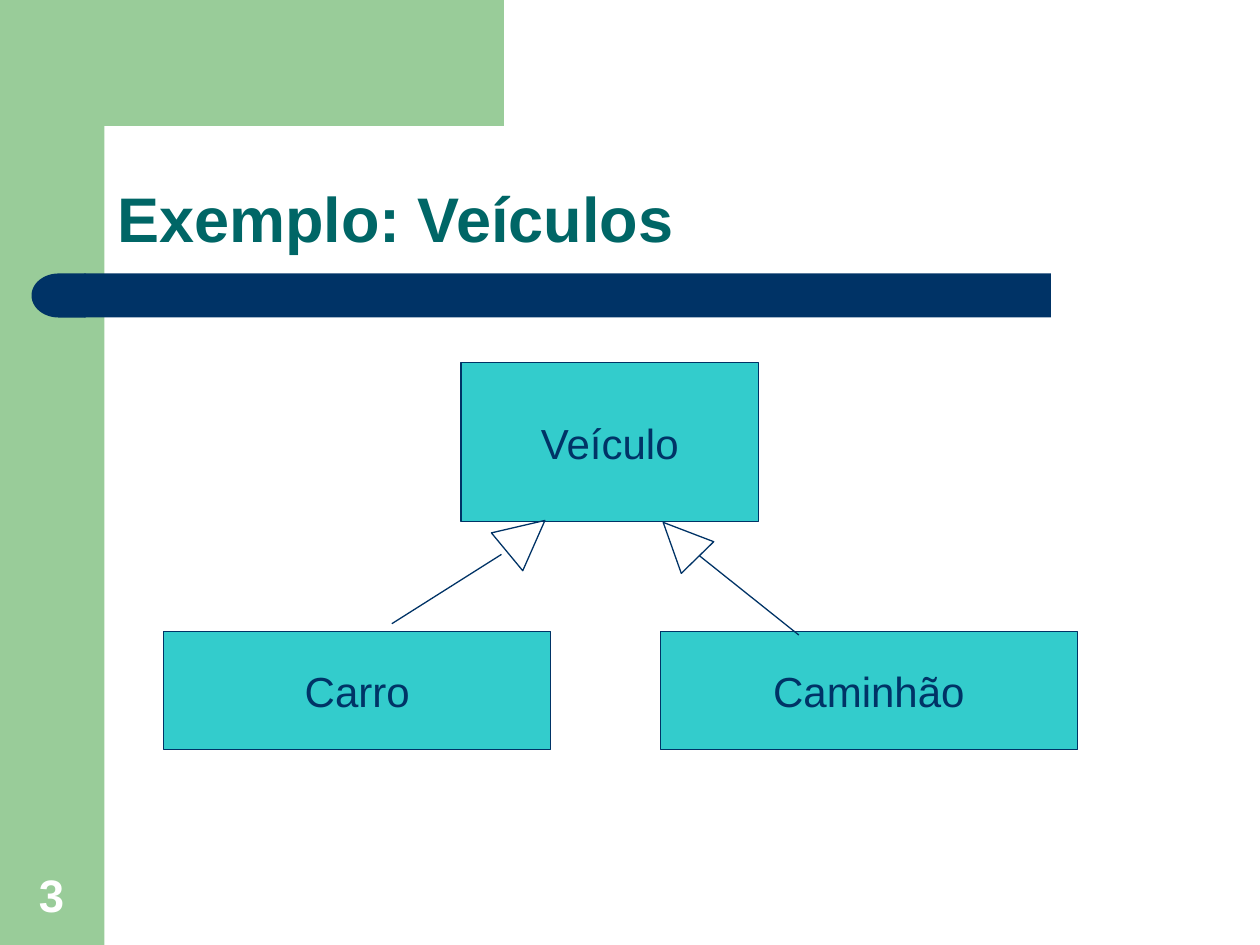
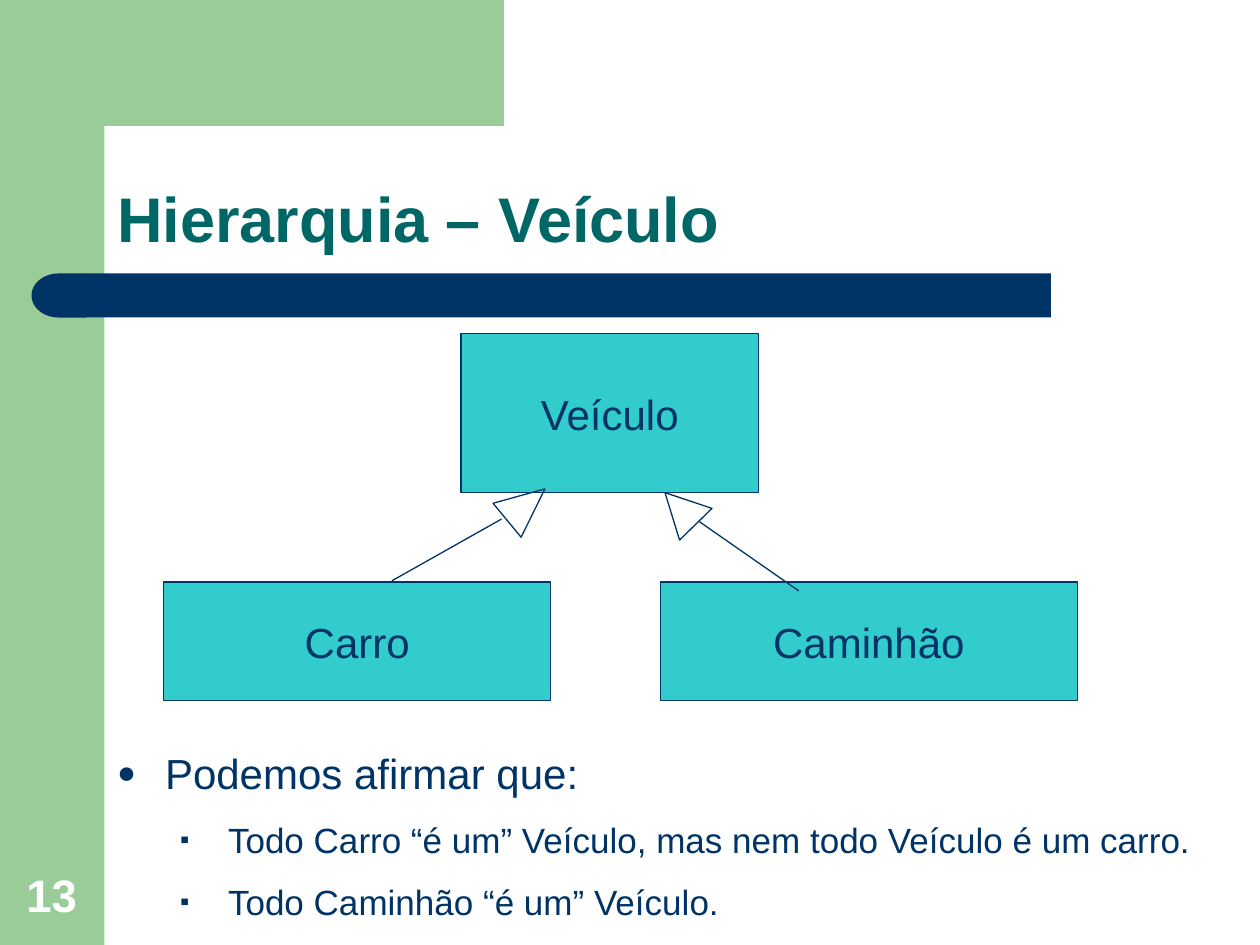
import math
from dataclasses import dataclass
from lxml import etree
from pptx import Presentation
from pptx.dml.color import RGBColor
from pptx.enum.shapes import MSO_CONNECTOR, MSO_SHAPE
from pptx.enum.text import MSO_ANCHOR, MSO_AUTO_SIZE, PP_ALIGN
from pptx.oxml.ns import qn
from pptx.util import Inches, Pt

RECT, DELAY = MSO_SHAPE.RECTANGLE, MSO_SHAPE.FLOWCHART_DELAY
TRIANGLE, STRAIGHT = MSO_SHAPE.ISOSCELES_TRIANGLE, MSO_CONNECTOR.STRAIGHT
LEFT, CENTER = PP_ALIGN.LEFT, PP_ALIGN.CENTER
TOP, MIDDLE, BOTTOM = MSO_ANCHOR.TOP, MSO_ANCHOR.MIDDLE, MSO_ANCHOR.BOTTOM
NO_FIT = MSO_AUTO_SIZE.NONE


@dataclass(frozen=True)
class Theme:
    """Colours, font and type sizes of the deck."""
    font: str = "Arial"
    green: str = "99CC99"
    navy: str = "003366"
    teal: str = "006666"
    aqua: str = "33CCCC"
    white: str = "FFFFFF"
    title: int = 36
    page: int = 26
    label: int = 24
    levels: tuple = (24, 20)
    line: float = 0.75


THEME = Theme()

# Class boxes: name, left, width, height
PARENT = ("Veículo", 3.66, 2.36, 1.26)
CHILDREN = [("Carro", 1.3, 3.07, 0.94), ("Caminhão", 5.24, 3.31, 0.94)]

# Arrows: line start, line end, head frame, head angle
SLIDES = [
    {"title": "Exemplo: Veículos", "page": "3", "tops": (2.88, 5.01),
     "arrows": [((3.11, 4.95), (3.98, 4.4), (3.98, 4.06, 0.39, 0.39), 50.4),
                ((6.34, 5.04), (5.55, 4.41), (5.22, 4.09, 0.36, 0.39), 315.7)],
     "list": []},
    {"title": "Hierarquia – Veículo", "page": "13", "tops": (2.65, 4.62),
     "arrows": [((3.11, 4.61), (3.98, 4.12), (4, 3.81, 0.35, 0.39), 50.4),
                ((6.34, 4.69), (5.55, 4.14), (5.22, 3.86, 0.36, 0.35), 315.7)],
     "list": [(0, "Podemos afirmar que:"),
              (1, "Todo Carro “é um” Veículo, mas nem todo Veículo é um carro."),
              (1, "Todo Caminhão “é um” Veículo.")]},
]

TITLE_AT = (0.83, 0.83, 8.67, 1.25)
PAGE_AT = (0.09, 6.83, 0.64, 0.53)
LIST_AT = (0.83, 5.8, 8.98, 1.7)
BULLETS = [("●", 0.38, 8), ("▪", 0.88, 7)]  # sign, indent, space before


def rgb(code):
    """Turn a hex code into a colour."""
    return RGBColor.from_string(code)


def style(para, size, color, bold=False, align=LEFT):
    """Align a paragraph and format its runs."""
    para.alignment = align
    for run in para.runs:
        font = run.font
        font.name, font.size, font.bold = THEME.font, Pt(size), bold
        font.color.rgb = rgb(color)


def place(shape, box):
    """Move a shape to a box given in inches."""
    shape.left, shape.top, shape.width, shape.height = map(Inches, box)


def paint(shape, fill=None, line=None):
    """Set fill and outline, and drop the shadow."""
    shape.shadow.inherit = False
    if fill:
        shape.fill.solid()
        shape.fill.fore_color.rgb = rgb(fill)
    else:
        shape.fill.background()
    if line:
        shape.line.color.rgb = rgb(line)
        shape.line.width = Pt(THEME.line)
    else:
        shape.line.fill.background()


def add(slide, kind, box, fill=None, line=None):
    """Add a painted preset shape."""
    shape = slide.shapes.add_shape(kind, *map(Inches, box))
    paint(shape, fill, line)
    return shape


def add_corner(slide):
    """Draw the top band with its rounded inner corner."""
    edge, mid, rad = 0.83, 1.16, 0.33
    turns = [math.radians(9 * step) for step in range(11)]
    curve = [(mid - rad * math.sin(a), mid - rad * math.cos(a)) for a in turns]
    points = [(3.5, 0), (3.5, edge), *curve, (edge, 1.28), (0.5, 1.28), (0.5, 0)]
    pen = slide.shapes.build_freeform(*points[0], scale=Inches(1))
    pen.add_line_segments(points[1:], close=True)
    shape = pen.convert_to_shape()
    paint(shape, THEME.green)
    return shape


def add_frame(slide, master):
    """Draw the shared bands and hand them to the master."""
    side = add(slide, RECT, (0, 0, 0.83, 7.5), THEME.green)
    corner = add_corner(slide)
    bar = add(slide, RECT, (0.67, 2.17, 7.67, 0.35), THEME.navy)
    cap = add(slide, DELAY, (0.25, 2.17, 0.43, 0.35), THEME.navy)
    cap.rotation = 180
    for shape in (side, corner, bar, cap):
        master.shapes.element.append(shape.element)


def add_title(slide, text):
    """Fill the title placeholder."""
    title = slide.shapes.title
    place(title, TITLE_AT)
    frame = title.text_frame
    frame.text = text
    frame.auto_size, frame.vertical_anchor = NO_FIT, BOTTOM
    frame.paragraphs[0].line_spacing = 0.9
    style(frame.paragraphs[0], THEME.title, THEME.teal, True)


def add_page(slide, text):
    """Write the page number on the side band."""
    frame = slide.shapes.add_textbox(*map(Inches, PAGE_AT)).text_frame
    frame.word_wrap, frame.vertical_anchor = True, BOTTOM
    frame.text = text
    style(frame.paragraphs[0], THEME.page, THEME.white, True, CENTER)


def add_class(slide, item, top):
    """Draw one class box with its name."""
    name, left, width, height = item
    box = add(slide, RECT, (left, top, width, height), THEME.aqua, THEME.navy)
    frame = box.text_frame
    frame.text = name
    frame.word_wrap, frame.vertical_anchor = False, MIDDLE
    style(frame.paragraphs[0], THEME.label, THEME.navy, align=CENTER)


def add_arrow(slide, start, end, head, angle):
    """Draw an inheritance arrow with a hollow head."""
    line = slide.shapes.add_connector(STRAIGHT, *map(Inches, start + end))
    line.line.color.rgb = rgb(THEME.navy)
    line.line.width = Pt(THEME.line)
    etree.SubElement(line.element.spPr, qn("a:effectLst"))
    add(slide, TRIANGLE, head, line=THEME.navy).rotation = angle


def set_bullet(para, sign, indent):
    """Give a paragraph its bullet and hanging indent."""
    props = para._p.get_or_add_pPr()
    props.set("marL", str(Inches(indent)))
    props.set("indent", str(-Inches(0.38)))
    color = etree.SubElement(props, qn("a:buClr"))
    etree.SubElement(color, qn("a:srgbClr"), val=THEME.navy)
    etree.SubElement(props, qn("a:buSzPct"), val="75000")
    etree.SubElement(props, qn("a:buFont"), typeface=THEME.font)
    etree.SubElement(props, qn("a:buChar"), char=sign)


def add_list(slide, items):
    """Fill the body placeholder with a bulleted list."""
    body = slide.placeholders[1]
    place(body, LIST_AT)
    frame = body.text_frame
    frame.text = "\n".join(text for _, text in items)
    frame.auto_size, frame.vertical_anchor = NO_FIT, TOP
    for para, (level, _) in zip(frame.paragraphs, items):
        sign, indent, gap = BULLETS[level]
        para.level = level
        para.line_spacing, para.space_before = 1.2, Pt(gap)
        style(para, THEME.levels[level], THEME.navy)
        set_bullet(para, sign, indent)


def add_slide(deck, data):
    """Build one slide from its data."""
    layout = deck.slide_layouts[1 if data["list"] else 5]
    slide = deck.slides.add_slide(layout)
    add_title(slide, data["title"])
    add_page(slide, data["page"])
    high, low = data["tops"]
    add_class(slide, PARENT, high)
    for child in CHILDREN:
        add_class(slide, child, low)
    for arrow in data["arrows"]:
        add_arrow(slide, *arrow)
    if data["list"]:
        add_list(slide, data["list"])
    return slide


def main():
    """Build and save the deck."""
    deck = Presentation()
    deck.slide_width, deck.slide_height = Inches(10), Inches(7.5)
    slides = [add_slide(deck, data) for data in SLIDES]
    add_frame(slides[0], deck.slide_master)
    deck.save("out.pptx")


main()
